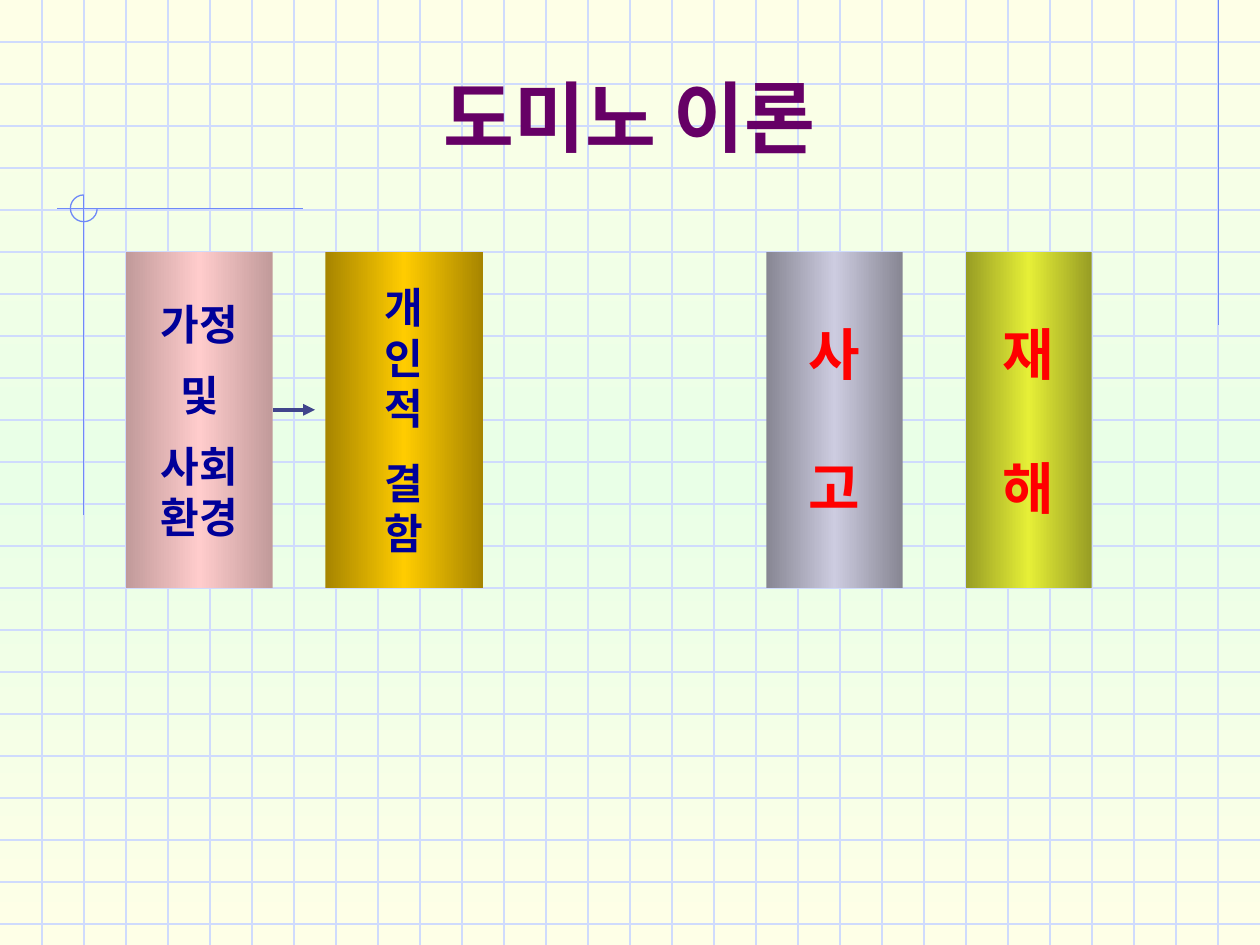
from copy import deepcopy

from lxml.etree import SubElement
from pptx import Presentation
from pptx.dml.color import RGBColor
from pptx.enum.shapes import MSO_CONNECTOR, MSO_SHAPE
from pptx.enum.text import MSO_ANCHOR, PP_ALIGN
from pptx.oxml.ns import qn
from pptx.util import Cm, Pt

FONT = "Noto Sans CJK KR"
COLORS = {
    "page_edge": "FEFFE7", "page_middle": "E9FFE7",
    "grid": "CFDBFD", "accent": "6F89F7", "arrow": "40458C",
    "title": "660066", "cause": "000099", "result": "FF0000",
    "pink_edge": "C19A9A", "pink_middle": "FFCCCC",
    "gold_edge": "A78500", "gold_middle": "FFCC00",
    "gray_edge": "878693", "gray_middle": "CDCCE0",
    "lime_edge": "979D24", "lime_middle": "E6EF37",
}
TITLE = "도미노 이론"
WIDTH, HEIGHT = 25.4, 19.05
GRID_STEP = WIDTH / 30
DOMINO_TOP, DOMINO_HEIGHT = 5.08, 6.77
LINE_FACTOR = 1.2

DOMINOES = [
    {"left": 2.54, "width": 2.96, "fill": "pink", "color": "cause", "size": 24,
     "lines": [("가정", 0), ("및", 12), ("사회", 12), ("환경", 0)]},
    {"left": 6.56, "width": 3.18, "fill": "gold", "color": "cause", "size": 24,
     "lines": [("개", 0), ("인", 0), ("적", 0), ("결", 14), ("함", 0)]},
    {"left": 15.45, "width": 2.75, "fill": "gray", "color": "result", "size": 32,
     "lines": [("사", 0), ("고", 38)]},
    {"left": 19.47, "width": 2.54, "fill": "lime", "color": "result", "size": 32,
     "lines": [("재", 0), ("해", 38)]},
]
ACCENT_LINES = [
    (24.56, 0, 24.56, 6.56),
    (6.1, 4.2, 1.14, 4.2),
    (1.69, 3.93, 1.69, 10.39),
]
ARROW = (5.5, 8.26, 6.35, 8.26)


def rgb(name):
    return RGBColor.from_string(COLORS[name])


def set_gradient(owner, fill, name, angle):
    fill.gradient()
    fill.gradient_angle = angle
    edge, middle = fill.gradient_stops
    edge.color.rgb, edge.position = rgb(f"{name}_edge"), 0
    middle.color.rgb, middle.position = rgb(f"{name}_middle"), 0.5
    stops = owner.element.xpath(".//a:gsLst")[0]
    last = deepcopy(stops[0])
    last.set("pos", "100000")
    stops.append(last)


def add_line(slide, ends, color, width):
    line = slide.shapes.add_connector(MSO_CONNECTOR.STRAIGHT, *map(Cm, ends))
    line.line.color.rgb = rgb(color)
    line.line.width = Pt(width)
    SubElement(line.element.spPr, qn("a:effectLst"))
    return line


def add_text(paragraph, text, size, color):
    paragraph.alignment = PP_ALIGN.CENTER
    paragraph.line_spacing = Pt(size * LINE_FACTOR)
    run = paragraph.add_run()
    run.text = text
    run.font.size, run.font.bold = Pt(size), True
    run.font.color.rgb = rgb(color)
    run.font.name = FONT
    SubElement(run.font._element, qn("a:ea"), typeface=FONT)


def add_domino(slide, domino):
    shape = slide.shapes.add_shape(
        MSO_SHAPE.RECTANGLE, Cm(domino["left"]), Cm(DOMINO_TOP),
        Cm(domino["width"]), Cm(DOMINO_HEIGHT))
    shape.shadow.inherit = False
    shape.line.fill.background()
    set_gradient(shape, shape.fill, domino["fill"], 0)
    frame = shape.text_frame
    frame.word_wrap = False
    frame.vertical_anchor = MSO_ANCHOR.MIDDLE
    for index, (text, gap) in enumerate(domino["lines"]):
        paragraph = frame.add_paragraph() if index else frame.paragraphs[0]
        paragraph.space_before = Pt(gap)
        add_text(paragraph, text, domino["size"], domino["color"])


def main():
    presentation = Presentation()
    presentation.slide_width, presentation.slide_height = Cm(WIDTH), Cm(HEIGHT)
    slide = presentation.slides.add_slide(presentation.slide_layouts[5])
    set_gradient(slide, slide.background.fill, "page", 90)

    for row in range(1, 23):
        add_line(slide, (0, row * GRID_STEP, WIDTH, row * GRID_STEP), "grid", 0.75)
    for column in range(1, 30):
        add_line(slide, (column * GRID_STEP, 0, column * GRID_STEP, HEIGHT), "grid", 0.75)
    for ends in ACCENT_LINES:
        add_line(slide, ends, "accent", 0.75)
    arc = slide.shapes.add_shape(MSO_SHAPE.ARC, Cm(1.42), Cm(3.93), Cm(0.54), Cm(0.54))
    arc.adjustments[0], arc.adjustments[1] = 0, 162
    arc.shadow.inherit = False
    arc.fill.background()
    arc.line.color.rgb = rgb("accent")
    arc.line.width = Pt(0.75)

    for domino in DOMINOES:
        add_domino(slide, domino)
    arrow = add_line(slide, ARROW, "arrow", 2.25)
    SubElement(arrow.line._get_or_add_ln(), qn("a:tailEnd"), type="triangle")

    title = slide.shapes.title
    title.left, title.top, title.width, title.height = map(Cm, (1.9, 1.06, 21.59, 2.33))
    title.text_frame.vertical_anchor = MSO_ANCHOR.BOTTOM
    add_text(title.text_frame.paragraphs[0], TITLE, 44, "title")
    slide.shapes.element.append(title.element)

    presentation.save("out.pptx")


if __name__ == "__main__":
    main()
